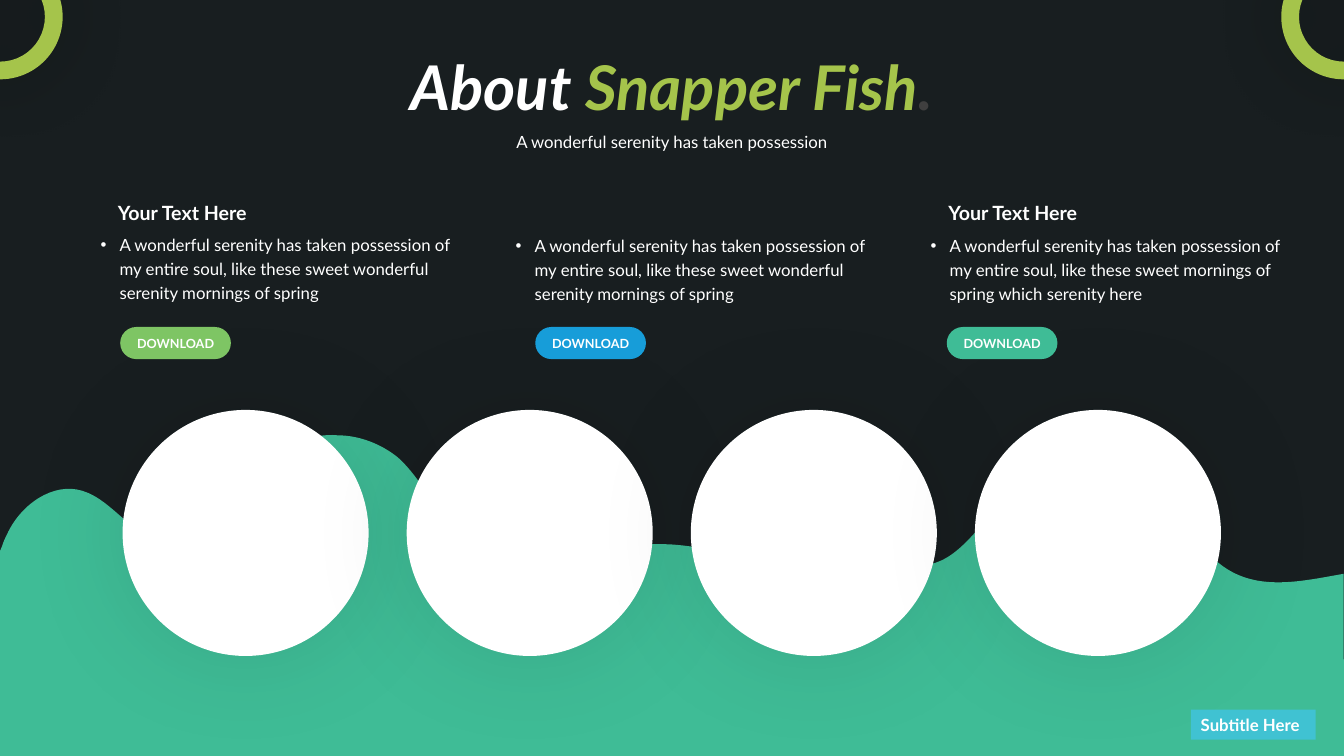
import lxml.etree
import pptx
import pptx.dml.color
import pptx.enum.shapes
import pptx.enum.text
import pptx.oxml.ns
import pptx.util

Cm = pptx.util.Cm
qn = pptx.oxml.ns.qn
SHAPES = pptx.enum.shapes.MSO_SHAPE
ALIGN = pptx.enum.text.PP_ALIGN
ANCHOR = pptx.enum.text.MSO_ANCHOR

DARK, WHITE, LIME, TEAL = "181E20", "FFFFFF", "A5C44B", "3FBC96"
SLIDE_WIDTH, SLIDE_HEIGHT = 33.87, 19.05

WAVE = [
    ((0.05, 13.77),),
    ((0.08, 13.67), (0.13, 13.56), (0.18, 13.46)),
    ((0.53, 12.7), (1.35, 12.14), (2.08, 12.37)),
    ((2.84, 12.6), (3.33, 13.54), (4.09, 13.59)),
    ((4.9, 13.67), (5.49, 12.8), (6.05, 12.17)),
    ((6.55, 11.58), (7.21, 11.15), (7.95, 11)),
    ((8.13, 10.97), (8.33, 10.95), (8.51, 10.97)),
    ((9.04, 10.97), (9.6, 11.18), (10.03, 11.53)),
    ((10.74, 12.17), (11.1, 13.21), (11.86, 13.69)),
    ((12.73, 14.25), (13.79, 14), (14.81, 13.82)),
]
WAVE_LINK = [
    ((15.49, 13.72), (16.23, 13.69), (16.92, 13.72)),
    ((17.63, 13.77), (18.39, 13.92), (18.97, 14.33)),
]
WAVE_SHIFT = (19.05, 0.64)

SOUL = "A wonderful serenity has taken possession of my entire soul, like these sweet "
COLUMNS = [
    (1, SOUL + "wonderful serenity mornings of spring", 5.68, 3.03, "7EC564"),
    (2, SOUL + "wonderful serenity mornings of spring", 5.71, 13.49, "179DD9"),
    (4, SOUL + "mornings of spring which serenity here", 5.71, 23.86, TEAL),
]


def rgb(hex_color):
    """Turn a hex string into a colour."""
    return pptx.dml.color.RGBColor.from_string(hex_color)


def paint(shape, color):
    """Give a shape a flat fill with no line or shadow."""
    shape.fill.solid()
    shape.fill.fore_color.rgb = rgb(color)
    shape.line.fill.background()
    shape.shadow.inherit = False


def add_glow(shape, blur, opacity):
    """Put a soft black shadow around a shape."""
    effects = shape.element.spPr.find(qn("a:effectLst"))
    glow = lxml.etree.SubElement(
        effects, qn("a:outerShdw"), blurRad=str(pptx.util.Pt(blur)),
        dist="0", dir="0", algn="ctr", rotWithShape="0")
    black = lxml.etree.SubElement(glow, qn("a:srgbClr"), val="000000")
    lxml.etree.SubElement(black, qn("a:alpha"), val=str(opacity * 1000))


def add_bullet(paragraph):
    """Give a paragraph a round bullet and a hanging indent."""
    props = paragraph._p.get_or_add_pPr()
    props.set("marL", str(Cm(0.48)))
    props.set("indent", str(-Cm(0.48)))
    lxml.etree.SubElement(props, qn("a:buFont"), typeface="Arial")
    lxml.etree.SubElement(props, qn("a:buChar"), char="•")


def write(shape, runs, size, bold=False, italic=False, align=ALIGN.LEFT,
          spacing=1.0, anchor=ANCHOR.TOP, bullet=False):
    """Write one paragraph of (text, colour) runs into a shape."""
    frame = shape.text_frame
    frame.word_wrap = True
    frame.auto_size = pptx.enum.text.MSO_AUTO_SIZE.NONE
    frame.vertical_anchor = anchor
    paragraph = frame.paragraphs[0]
    if bullet:
        add_bullet(paragraph)
    paragraph.alignment = align
    paragraph.line_spacing = spacing
    paragraph.space_before = pptx.util.Pt(0)
    for text, color in runs:
        run = paragraph.add_run()
        run.text = text
        run.font.name = "Lato"
        run.font.size = pptx.util.Pt(size)
        run.font.bold = bold
        run.font.italic = italic
        run.font.color.rgb = rgb(color)


def place(slide, idx, left, top, width, height):
    """Move a placeholder to its spot, in front of what is drawn so far."""
    holder = next(p for p in slide.placeholders if p.placeholder_format.idx == idx)
    holder.left, holder.top = Cm(left), Cm(top)
    holder.width, holder.height = Cm(width), Cm(height)
    slide.shapes.element.append(holder.element)
    return holder


def add_plain(slide, kind, left, top, width, height, color):
    """Add a flat preset shape."""
    shape = slide.shapes.add_shape(kind, Cm(left), Cm(top), Cm(width), Cm(height))
    paint(shape, color)
    return shape


def add_button(slide, left, color):
    """Add a rounded download button."""
    button = add_plain(slide, SHAPES.ROUNDED_RECTANGLE, left, 8.24, 2.79, 0.81, color)
    button.adjustments[0] = 0.5
    write(button, [("DOWNLOAD", WHITE)], 9, bold=True, align=ALIGN.CENTER,
          anchor=ANCHOR.MIDDLE)


def add_heading(slide, left):
    """Add a column heading."""
    heading = slide.shapes.add_textbox(Cm(left), Cm(4.83), Cm(4.29), Cm(0.91))
    write(heading, [("Your Text Here", WHITE)], 14, bold=True, spacing=1.2)


def add_outline(slide, segments, color):
    """Draw a closed outline; a segment is one corner or three curve points."""
    ends = [(Cm(x), Cm(y)) for *_, (x, y) in segments]
    builder = slide.shapes.build_freeform(*ends[0])
    builder.add_line_segments(ends[1:], close=True)
    shape = builder.convert_to_shape()
    paint(shape, color)
    for line, segment in zip(list(shape.element.iter(qn("a:lnTo"))), segments[1:]):
        if len(segment) == 3:
            line.clear()
            line.tag = qn("a:cubicBezTo")
            for x, y in segment:
                lxml.etree.SubElement(line, qn("a:pt"), x=str(Cm(x) - shape.left),
                                      y=str(Cm(y) - shape.top))


def add_wave(slide):
    """Draw the wavy ground from two runs of the same swell."""
    dx, dy = WAVE_SHIFT
    right = [tuple((x + dx, y + dy) for x, y in segment) for segment in WAVE]
    edge = [((SLIDE_WIDTH, SLIDE_HEIGHT),), ((0, SLIDE_HEIGHT),)]
    add_outline(slide, [((0, 13.89),)] + WAVE + WAVE_LINK + right + edge, TEAL)


def main():
    """Build and save the slide."""
    deck = pptx.Presentation()
    deck.slide_width, deck.slide_height = Cm(SLIDE_WIDTH), Cm(SLIDE_HEIGHT)
    slide = deck.slides.add_slide(deck.slide_layouts.get_by_name("Comparison"))
    slide.background.fill.solid()
    slide.background.fill.fore_color.rgb = rgb(DARK)

    add_wave(slide)
    for i in range(4):
        disc = add_plain(slide, SHAPES.OVAL, 3.09 + 7.16 * i, 10.33, 6.2, 6.2, WHITE)
        add_glow(disc, 77, 9)

    title = place(slide, 0, 8.56, 1.11, 16.74, 2.13)
    write(title, [("About ", WHITE), ("Snapper Fish", LIME), (".", "3F3F3F")], 44,
          bold=True, italic=True, align=ALIGN.CENTER)
    tagline = place(slide, 3, 11.32, 2.95, 11.23, 0.94)
    write(tagline, [("A wonderful serenity has taken possession", WHITE)], 12,
          align=ALIGN.CENTER, spacing=1.5)

    for i, (idx, text, top, button_left, color) in enumerate(COLUMNS):
        column = place(slide, idx, 2.28 + 10.46 * i, top, 9.35, 2.06)
        write(column, [(text, WHITE)], 12, spacing=1.2, bullet=True)
        add_button(slide, button_left, color)
    for left in (2.72, 23.65):
        add_heading(slide, left)

    tag = add_plain(slide, SHAPES.RECTANGLE, 30.01, 17.88, 3.15, 0.76, "40C2D2")
    write(tag, [("Subtitle Here", WHITE)], 12, bold=True, anchor=ANCHOR.MIDDLE)

    for left in (-1.57, 32.29):
        ring = add_plain(slide, SHAPES.DONUT, left, -1.15, 3.15, 3.15, LIME)
        ring.adjustments[0] = 0.142
        add_glow(ring, 49, 33)

    deck.save("out.pptx")


if __name__ == "__main__":
    main()
